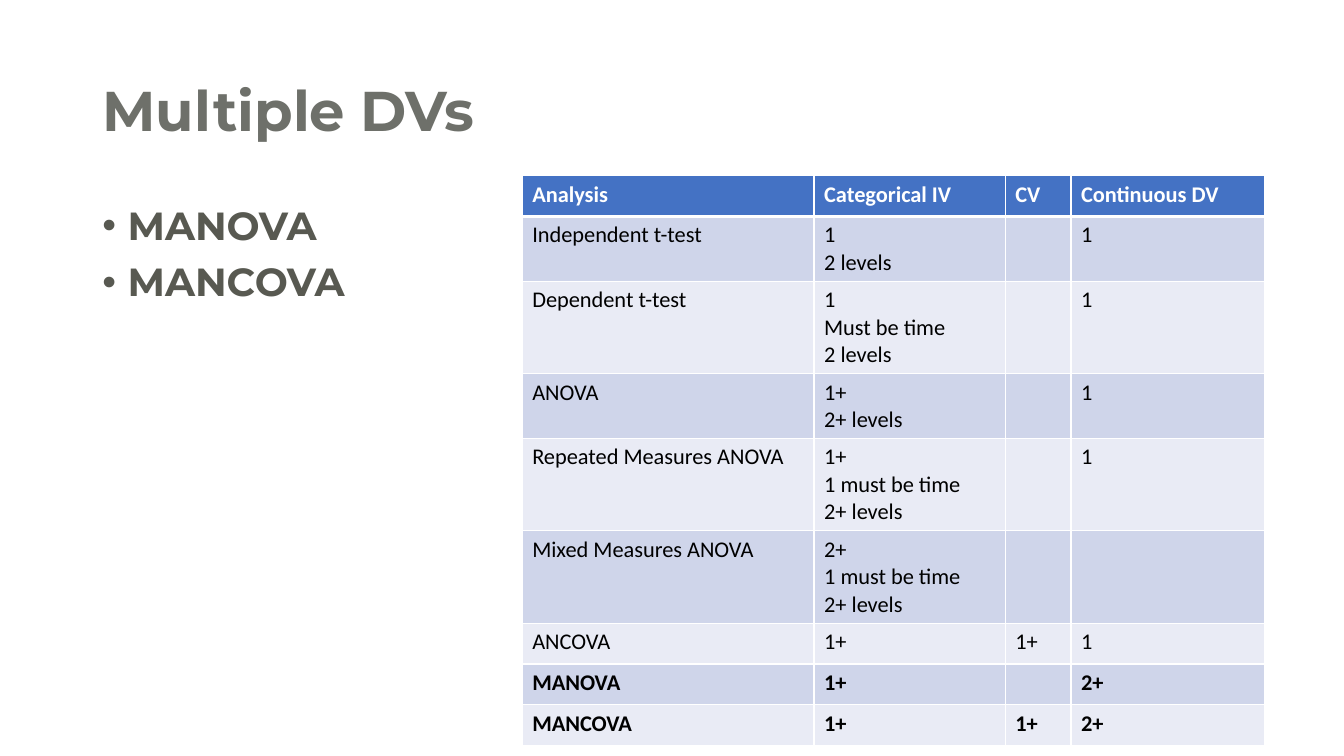
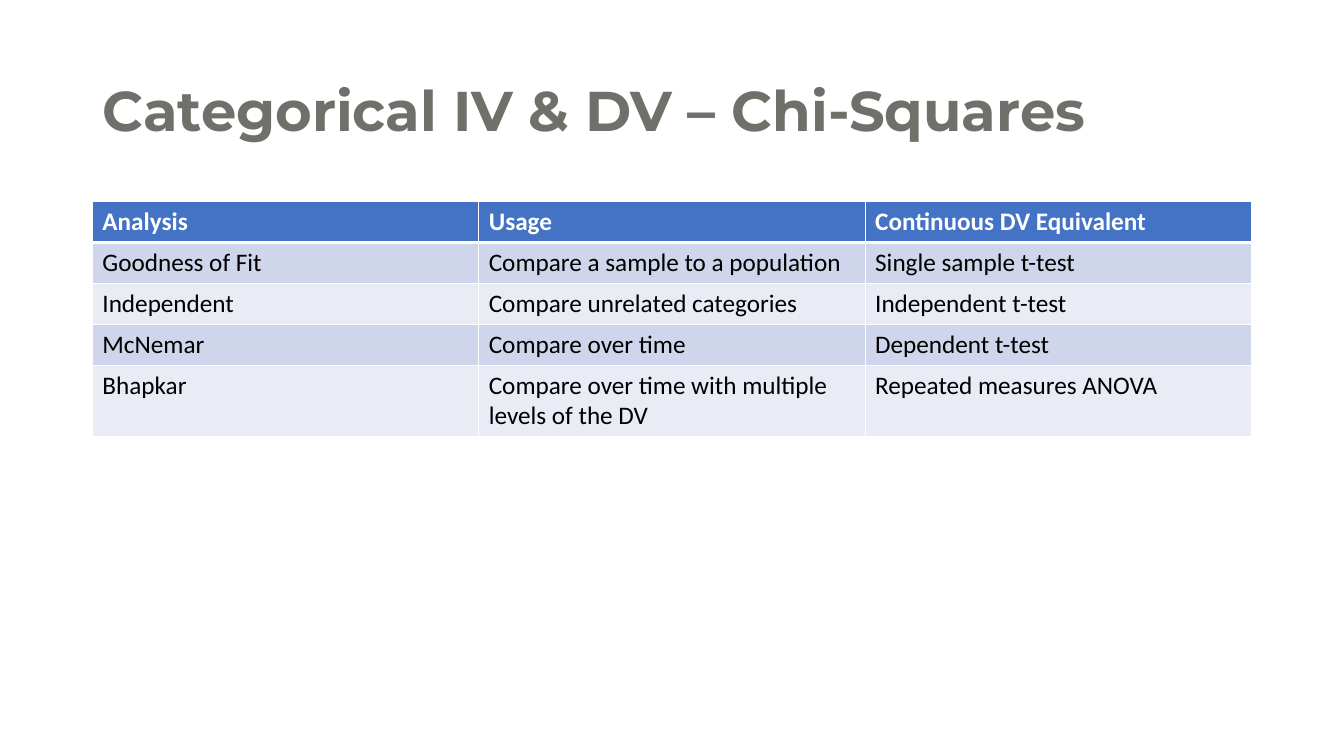
import dataclasses

import lxml.etree
import pptx
import pptx.dml.color
import pptx.enum.text
import pptx.oxml.ns
import pptx.util

Pt = pptx.util.Pt


def rgb(value):
    return pptx.dml.color.RGBColor.from_string(value)


@dataclasses.dataclass(frozen=True)
class Theme:
    # Fonts and type sizes
    heading_font: str = "Montserrat"
    table_font: str = "Calibri"
    title_size: float = 40
    bullet_size: float = 28
    line_spacing: float = 0.9
    # Colours
    title: str = "6E706A"
    bullet: str = "585951"
    header_fill: str = "4472C4"
    band_fills: tuple = ("CFD5EA", "E9EBF5")
    white: str = "FFFFFF"
    black: str = "000000"
    # Shared layout
    margin: float = 66
    content_width: float = 828
    content_top: float = 144
    row_height: float = 29.2


THEME = Theme()
TITLE_AND_CONTENT, TITLE_ONLY = 1, 5

DESIGN_ROWS = [
    ["Analysis", "Categorical IV", "CV", "Continuous DV"],
    ["Independent t-test", "1\n2 levels", "", "1"],
    ["Dependent t-test", "1\nMust be time\n2 levels", "", "1"],
    ["ANOVA", "1+\n2+ levels", "", "1"],
    ["Repeated Measures ANOVA", "1+\n1 must be time\n2+ levels", "", "1"],
    ["Mixed Measures ANOVA", "2+\n1 must be time\n2+ levels", "", ""],
    ["ANCOVA", "1+", "1+", "1"],
    ["MANOVA", "1+", "", "2+"],
    ["MANCOVA", "1+", "1+", "2+"],
]

CHI_SQUARE_ROWS = [
    ["Analysis", "Usage", "Continuous DV Equivalent"],
    ["Goodness of Fit", "Compare a sample to a population", "Single sample t-test"],
    ["Independent", "Compare unrelated categories", "Independent t-test"],
    ["McNemar", "Compare over time", "Dependent t-test"],
    ["Bhapkar", "Compare over time with multiple levels of the DV",
     "Repeated measures ANOVA"],
]


# Text helpers
def style_font(paragraph, name, size, color, bold):
    font = paragraph.font
    font.name, font.size, font.bold = name, Pt(size), bold
    font.color.rgb = rgb(color)


def place(shape, left, top, width, height):
    shape.left, shape.top = Pt(left), Pt(top)
    shape.width, shape.height = Pt(width), Pt(height)


def add_titled_slide(presentation, layout_index, text):
    slide = presentation.slides.add_slide(presentation.slide_layouts[layout_index])
    title = slide.shapes.title
    place(title, THEME.margin, 28.75, THEME.content_width, 104.4)
    title.text_frame.text = text
    title.text_frame.vertical_anchor = pptx.enum.text.MSO_ANCHOR.MIDDLE
    paragraph = title.text_frame.paragraphs[0]
    paragraph.alignment = pptx.enum.text.PP_ALIGN.LEFT
    paragraph.line_spacing = THEME.line_spacing
    style_font(paragraph, THEME.heading_font, THEME.title_size, THEME.title, True)
    return slide


def fill_bullets(slide, items):
    body = slide.placeholders[1]
    place(body, THEME.margin, THEME.content_top, THEME.content_width, 342.6)
    body.text_frame.text = "\n".join(items)
    for index, paragraph in enumerate(body.text_frame.paragraphs):
        properties = paragraph._p.get_or_add_pPr()
        properties.set("marL", str(Pt(18)))
        properties.set("indent", str(Pt(-18)))
        paragraph.line_spacing = THEME.line_spacing
        paragraph.space_before = Pt(10 if index else 0)
        style_font(paragraph, THEME.heading_font, THEME.bullet_size, THEME.bullet, True)


# Table helpers
def set_borders(cell, bottom_width):
    """Draw white rules on all sides; they precede the fill in the cell XML."""
    properties = cell._tc.get_or_add_tcPr()
    qn = pptx.oxml.ns.qn
    widths = {"a:lnL": 1, "a:lnR": 1, "a:lnT": 1, "a:lnB": bottom_width}
    for position, (tag, width) in enumerate(widths.items()):
        line = lxml.etree.Element(qn(tag), w=str(Pt(width)))
        fill = lxml.etree.SubElement(line, qn("a:solidFill"))
        lxml.etree.SubElement(fill, qn("a:srgbClr"), val=THEME.white)
        properties.insert(position, line)


def add_table(slide, rows, left, top, column_widths, size, bold_rows=()):
    frame = slide.shapes.add_table(
        len(rows), len(column_widths), Pt(left), Pt(top),
        Pt(sum(column_widths)), Pt(THEME.row_height * len(rows)))
    table = frame.table
    for column, width in zip(table.columns, column_widths):
        column.width = Pt(width)
    for row_index, values in enumerate(rows):
        is_header = row_index == 0
        fill = THEME.header_fill if is_header else THEME.band_fills[(row_index - 1) % 2]
        color = THEME.white if is_header else THEME.black
        bold = is_header or values[0] in bold_rows
        table.rows[row_index].height = Pt(THEME.row_height)
        for column_index, value in enumerate(values):
            cell = table.cell(row_index, column_index)
            cell.text = value
            cell.fill.solid()
            cell.fill.fore_color.rgb = rgb(fill)
            # The rule under the header is the same on both sides of the edge
            set_borders(cell, 3 if is_header else 1)
            for paragraph in cell.text_frame.paragraphs:
                style_font(paragraph, THEME.table_font, size, color, bold)


def main():
    presentation = pptx.Presentation()
    presentation.slide_width, presentation.slide_height = Pt(960), Pt(540)

    # Analyses with several dependent variables
    slide = add_titled_slide(presentation, TITLE_AND_CONTENT, "Multiple DVs")
    multiple_dv_tests = ["MANOVA", "MANCOVA"]
    fill_bullets(slide, multiple_dv_tests)
    add_table(slide, DESIGN_ROWS, 373, 125.5, [208.5, 136.5, 47, 138], 16,
              bold_rows=multiple_dv_tests)

    # Chi-square tests
    slide = add_titled_slide(presentation, TITLE_ONLY, "Categorical IV & DV – Chi-Squares")
    add_table(slide, CHI_SQUARE_ROWS, THEME.margin, THEME.content_top,
              [THEME.content_width / 3] * 3, 18)

    presentation.save("out.pptx")


if __name__ == "__main__":
    main()
